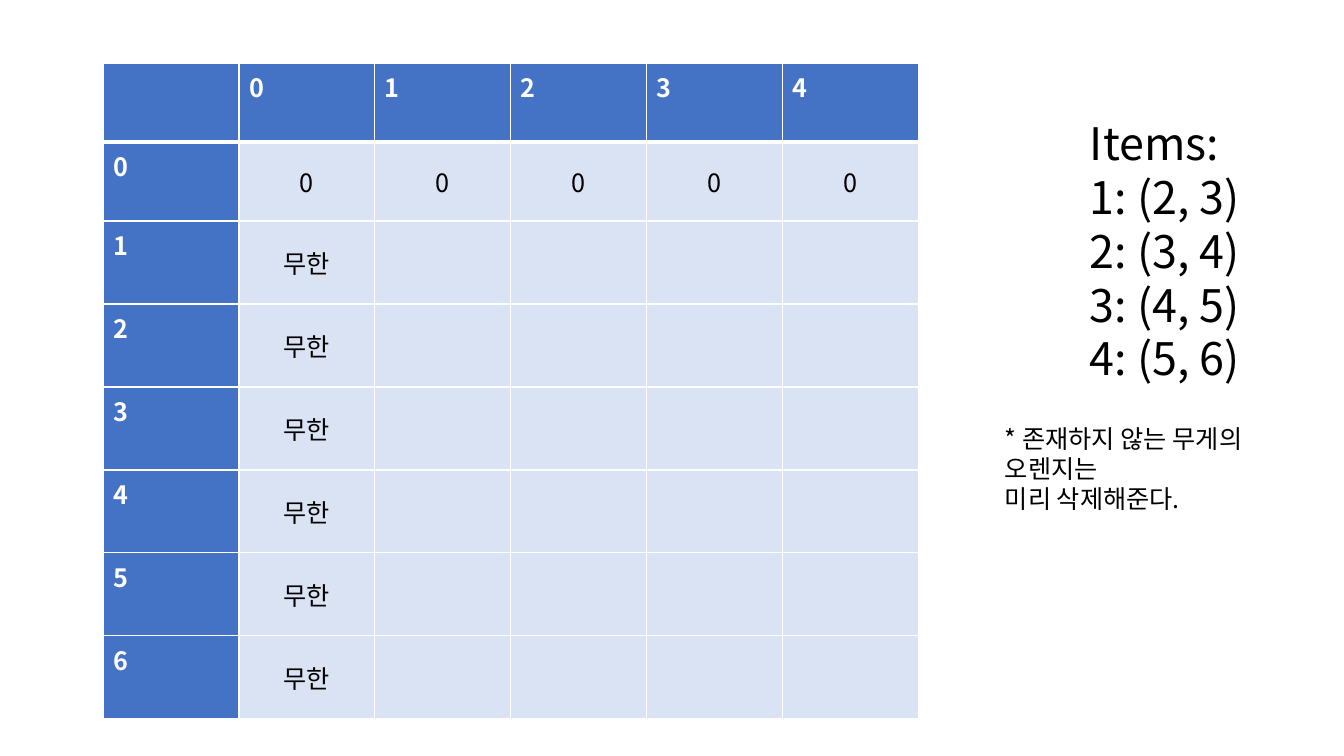
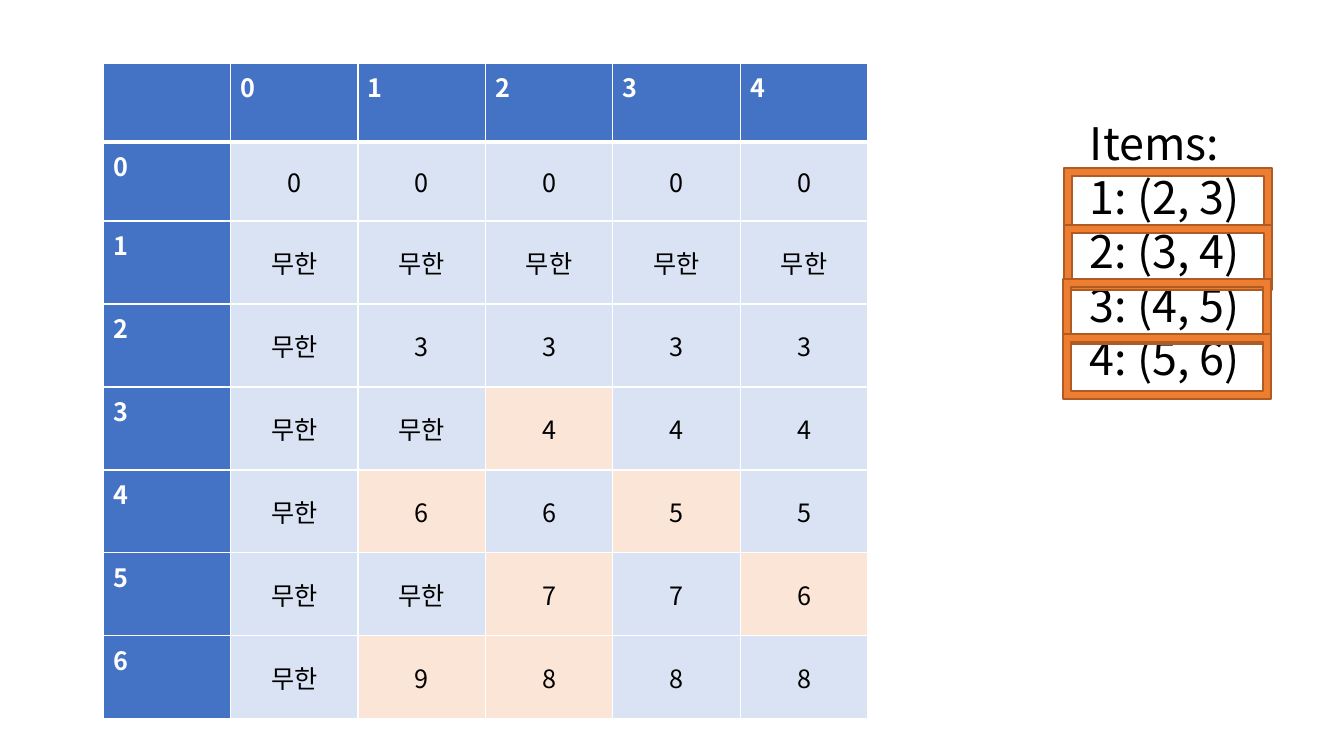
from lxml.etree import SubElement
from pptx import Presentation
from pptx.dml.color import RGBColor
from pptx.enum.shapes import MSO_SHAPE
from pptx.enum.text import MSO_ANCHOR, MSO_AUTO_SIZE, PP_ALIGN
from pptx.oxml.ns import qn
from pptx.util import Emu, Pt

FONT = "Noto Sans CJK KR"
BLUE, PALE, PEACH = "4472C4", "DAE3F3", "FBE5D6"
WHITE, BLACK, ORANGE, RUST = "FFFFFF", "000000", "ED7D31", "AF5C24"
INF = "무한"
SCALE = 914400 / 100.8


def px(*nums):
    return [Emu(round(n * SCALE)) for n in nums]


def write(para, text, size, color, bold=False):
    run = para.add_run()
    run.text = text
    font = run.font
    font.size, font.bold, font.name = Pt(size), bold, FONT
    font.color.rgb = RGBColor.from_string(color)
    SubElement(run._r.get_or_add_rPr(), qn("a:ea"), typeface=FONT)


items = ["Items:", "1: (2, 3)", "2: (3, 4)", "3: (4, 5)", "4: (5, 6)"]
note = ["* 존재하지 않는 무게의", "오렌지는", "미리 삭제해준다."]
list_box = (1080, 111, 174, 281, 32, items)
note_box = (995, 418, 287, 102, 18, note)

zeros = ["0"] * 5
start = [zeros] + [[INF] + [""] * 4] * 6
solved = [
    zeros,
    [INF] * 5,
    [INF, "3", "3", "3", "3"],
    [INF, INF, "4", "4", "4"],
    [INF, "6", "6", "5", "5"],
    [INF, INF, "7", "7", "6"],
    [INF, "9", "8", "8", "8"],
]
marks = {(4, 3), (5, 2), (5, 4), (6, 3), (6, 5), (7, 2), (7, 3)}
pages = [
    (816, start, set(), [list_box, note_box], []),
    (765, solved, marks, [list_box], [(1064, 168), (1064, 225), (1063, 279), (1063, 334)]),
]

deck = Presentation()
deck.slide_width, deck.slide_height = px(1344, 756)

for width, grid, warm, boxes, frames in pages:
    slide = deck.slides.add_slide(deck.slide_layouts[6])
    rows = [[""] + list("01234")] + [[str(i)] + row for i, row in enumerate(grid)]
    table = slide.shapes.add_table(8, 6, *px(103, 63, width, 656)).table
    for r, row in enumerate(rows):
        table.rows[r].height = px(79 if r < 2 else 83)[0]
        for c, text in enumerate(row):
            cell = table.cell(r, c)
            head = r == 0 or c == 0
            thick = {0: "lnB", 1: "lnT"}.get(r)
            props = cell._tc.get_or_add_tcPr()
            for side in ("lnL", "lnR", "lnT", "lnB"):
                weight = Pt(3 if side == thick else 1)
                line = SubElement(props, qn("a:" + side), w=str(weight))
                paint = SubElement(line, qn("a:solidFill"))
                SubElement(paint, qn("a:srgbClr"), val=WHITE)
            fill = BLUE if head else PEACH if (r, c) in warm else PALE
            cell.fill.solid()
            cell.fill.fore_color.rgb = RGBColor.from_string(fill)
            para = cell.text_frame.paragraphs[0]
            if not head:
                cell.vertical_anchor = MSO_ANCHOR.MIDDLE
                para.alignment = PP_ALIGN.CENTER
            if text:
                write(para, text, 18, WHITE if head else BLACK, head)

    for left, top, wide, high, size, lines in boxes:
        frame = slide.shapes.add_textbox(*px(left, top, wide, high)).text_frame
        frame.word_wrap = False
        frame.auto_size = MSO_AUTO_SIZE.SHAPE_TO_FIT_TEXT
        for i, text in enumerate(lines):
            para = frame.add_paragraph() if i else frame.paragraphs[0]
            write(para, text, size, BLACK)

    for left, top in frames:
        shape = slide.shapes.add_shape(MSO_SHAPE.FRAME, *px(left, top, 208, 65))
        shape.shadow.inherit = False
        shape.fill.solid()
        shape.fill.fore_color.rgb = RGBColor.from_string(ORANGE)
        shape.line.color.rgb = RGBColor.from_string(RUST)
        shape.line.width = Pt(1)

deck.save("out.pptx")
